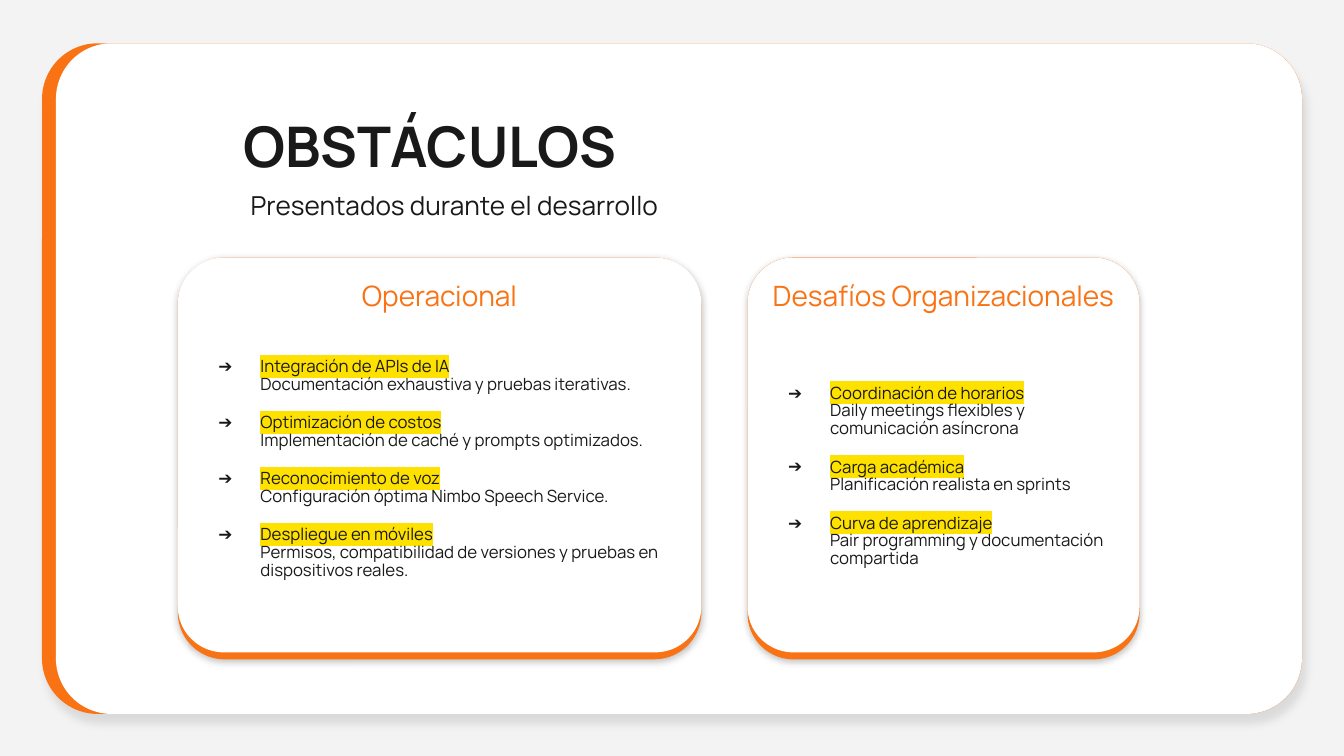
import pptx
import pptx.dml.color
import pptx.enum.shapes
import pptx.enum.text
import pptx.oxml
import pptx.oxml.ns
import pptx.util

PX = 9525
ORANGE, WHITE, INK, YELLOW, GREY = "F97315", "FFFFFF", "191919", "FFE100", "F3F3F3"
LEFT = pptx.enum.text.PP_ALIGN.LEFT
CENTER = pptx.enum.text.PP_ALIGN.CENTER

PANEL_SHADOW = dict(alpha=10, blur=4.5, distance=6, angle=68)
CARD_SHADOW = dict(alpha=23, blur=3.7, distance=1.2, angle=90)

CARDS = [
    dict(title="Operacional", left=127, width=374, body_top=248, items=[
        ("Integración de APIs de IA", "Documentación exhaustiva y pruebas iterativas."),
        ("Optimización de costos", "Implementación de caché y prompts optimizados."),
        ("Reconocimiento de voz", "Configuración óptima Nimbo Speech Service."),
        ("Despliegue en móviles",
         "Permisos, compatibilidad de versiones y pruebas en dispositivos reales."),
    ]),
    dict(title="Desafíos Organizacionales", left=534, width=280, body_top=267, items=[
        ("Coordinación de horarios", "Daily meetings flexibles y comunicación asíncrona"),
        ("Carga académica", "Planificación realista en sprints"),
        ("Curva de aprendizaje", "Pair programming y documentación compartida"),
    ]),
]


def px(length):
    return pptx.util.Emu(length * PX)


def color(value):
    return pptx.dml.color.RGBColor.from_string(value)


def element(xml):
    return pptx.oxml.parse_xml(xml.replace(
        " ", f" {pptx.oxml.ns.nsdecls('a')} ", 1))


class SlideWriter:
    """Hold the text style and the current slide, and add elements to it."""

    def __init__(self, page, font="Manrope"):
        self.page = page
        self.font = font

    def background(self, fill):
        self.page.background.fill.solid()
        self.page.background.fill.fore_color.rgb = color(fill)

    def rounded(self, left, top, width, height, fill, radius, shadow=None):
        shape = self.page.shapes.add_shape(
            pptx.enum.shapes.MSO_SHAPE.ROUNDED_RECTANGLE,
            px(left), px(top), px(width), px(height))
        shape.adjustments[0] = radius
        shape.fill.solid()
        shape.fill.fore_color.rgb = color(fill)
        shape.line.fill.background()
        shape.shadow.inherit = False
        if shadow:
            blur, distance = (pptx.util.Pt(shadow[key]) for key in ("blur", "distance"))
            effects = shape.element.spPr.find(pptx.oxml.ns.qn("a:effectLst"))
            effects.append(element(
                f'<a:outerShdw blurRad="{blur}" dist="{distance}" '
                f'dir="{shadow["angle"] * 60000}" algn="bl" rotWithShape="0">'
                f'<a:srgbClr val="000000"><a:alpha val="{shadow["alpha"] * 1000}"/>'
                '</a:srgbClr></a:outerShdw>'))

    def frame(self, box, inset):
        frame = box.text_frame
        frame.word_wrap = True
        frame.auto_size = pptx.enum.text.MSO_AUTO_SIZE.NONE
        frame.vertical_anchor = pptx.enum.text.MSO_ANCHOR.TOP
        frame.margin_left = frame.margin_right = px(inset)
        frame.margin_top = frame.margin_bottom = px(inset)
        return frame

    def span(self, para, text, size, ink=INK, bold=False, highlight=None):
        span = para.add_run()
        span.text = text
        span.font.size = pptx.util.Pt(size)
        span.font.bold = bold
        span.font.color.rgb = color(ink)
        if highlight:
            fill = span.font._element.find(pptx.oxml.ns.qn("a:solidFill"))
            fill.addnext(element(
                f'<a:highlight ><a:srgbClr val="{highlight}"/></a:highlight>'))
        span.font.name = self.font

    def line(self, box, text, size, inset, align=LEFT, **style):
        para = self.frame(box, inset).paragraphs[0]
        para.alignment = align
        para.line_spacing = 0.95
        self.span(para, text, size, **style)

    def title(self, left, top, width, height, text, size):
        box = self.page.shapes.title
        box.left, box.top, box.width, box.height = map(px, (left, top, width, height))
        self.line(box, text, size, 10, bold=True)

    def text(self, left, top, width, height, text, size, inset, **style):
        box = self.page.shapes.add_textbox(px(left), px(top), px(width), px(height))
        self.line(box, text, size, inset, **style)

    def bullets(self, left, top, width, height, items, size=9):
        box = self.page.shapes.add_textbox(px(left), px(top), px(width), px(height))
        frame = self.frame(box, 8)
        for index, (heading, detail) in enumerate(items):
            para = frame.add_paragraph() if index else frame.paragraphs[0]
            para.line_spacing = 0.88
            if index:
                para.space_before = pptx.util.Pt(11)
            settings = para._p.get_or_add_pPr()
            settings.set("marL", str(px(48)))
            settings.set("indent", str(px(-30)))
            settings.append(element(
                f'<a:buClr ><a:srgbClr val="{INK}"/></a:buClr>'))
            settings.append(element(f'<a:buFont typeface="{self.font}"/>'))
            settings.append(element('<a:buChar char="➔"/>'))
            self.span(para, heading, size, highlight=YELLOW)

            para = frame.add_paragraph()
            para.line_spacing = 0.88
            settings = para._p.get_or_add_pPr()
            settings.set("marL", str(px(48)))
            settings.set("indent", "0")
            self.span(para, detail, size)

    def card(self, title, left, width, body_top, items):
        self.rounded(left, 184, width, 287, ORANGE, 0.117, CARD_SHADOW)
        self.rounded(left, 184, width, 282, WHITE, 0.117)
        self.text(left, 193, width, 40, title, 15, 8, align=CENTER, ink=ORANGE)
        self.bullets(left + 3, body_top, width - 6, 466 - body_top, items)


def main():
    deck = pptx.Presentation()
    deck.slide_width, deck.slide_height = px(960), px(540)
    writer = SlideWriter(deck.slides.add_slide(deck.slide_layouts[5]))
    writer.background(GREY)
    writer.rounded(30, 31, 900, 479, ORANGE, 0.083, PANEL_SHADOW)
    writer.rounded(40, 31, 890, 479, WHITE, 0.083)
    shapes = writer.page.shapes
    shapes._spTree.append(shapes.title._element)
    writer.title(164, 73, 583, 60, "OBSTÁCULOS", 30)
    writer.text(169, 127, 399, 42, "Presentados durante el desarrollo", 14, 10)
    for card in CARDS:
        writer.card(**card)
    deck.save("out.pptx")


if __name__ == "__main__":
    main()
